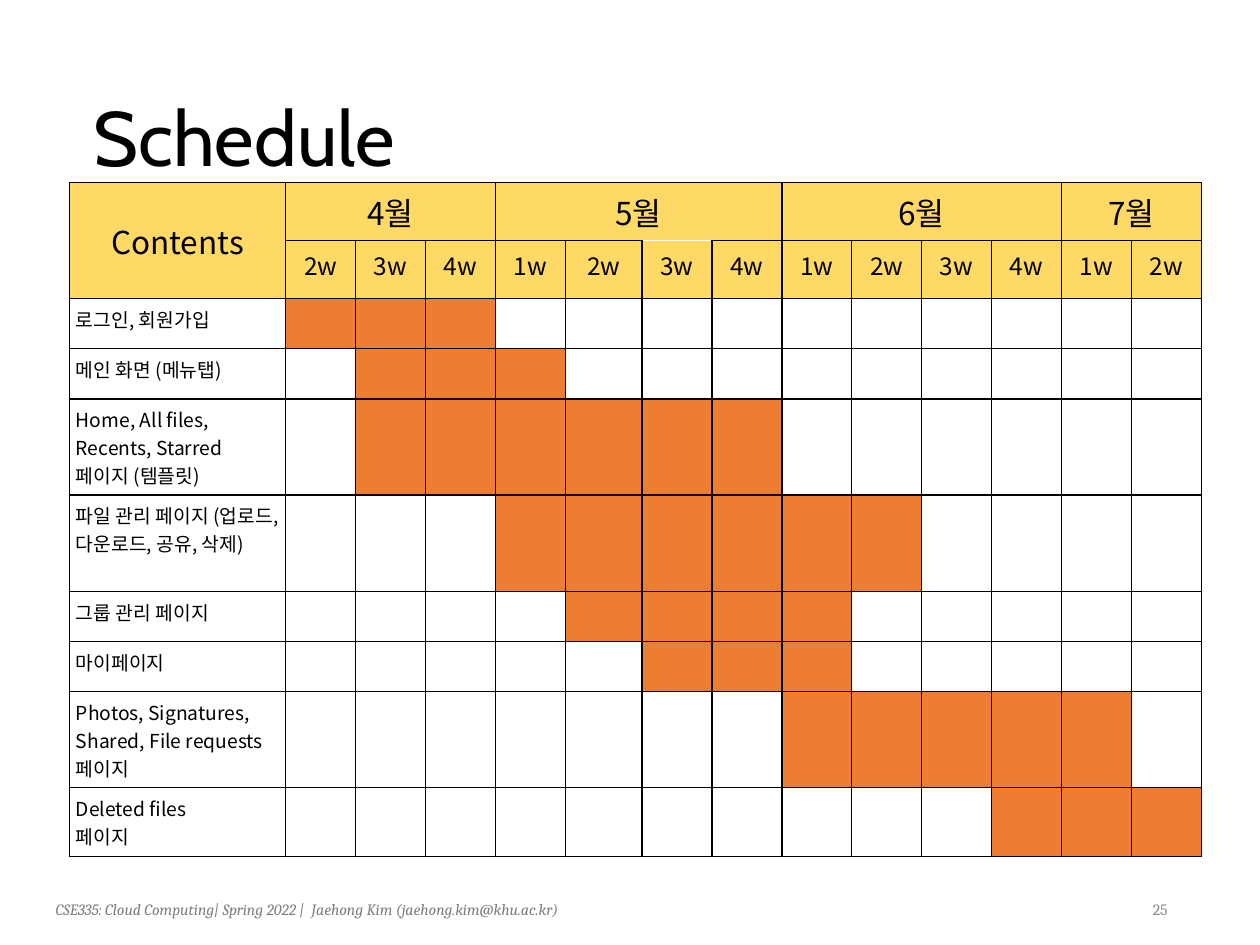
from dataclasses import dataclass

import pptx
import pptx.dml.color
import pptx.enum.text
import pptx.oxml
import pptx.oxml.ns
import pptx.util

Cm = pptx.util.Cm
Pt = pptx.util.Pt
Align = pptx.enum.text.PP_ALIGN
Anchor = pptx.enum.text.MSO_ANCHOR


@dataclass(frozen=True)
class Theme:
    title_font: str = "Cabin"
    body_font: str = "Noto Sans CJK KR"
    footer_font: str = "Cambria"
    ink: str = "000000"
    white: str = "FFFFFF"
    header: str = "FFD966"
    busy: str = "ED7D31"
    footer: str = "7E7E7E"
    number: str = "888888"
    title_size: int = 44
    month_size: int = 18
    week_size: int = 14
    task_size: int = 11
    footer_size: int = 9
    inset: float = 0.13


MONTHS = [("4월", 2, 4), ("5월", 1, 4), ("6월", 1, 4), ("7월", 1, 2)]
TASKS = [
    ("로그인, 회원가입", 1, 3),
    ("메인 화면 (메뉴탭)", 2, 4),
    ("Home, All files, Recents, Starred\n페이지 (템플릿)", 2, 7),
    ("파일 관리 페이지 (업로드, 다운로드, 공유, 삭제)", 4, 9),
    ("그룹 관리 페이지", 5, 8),
    ("마이페이지", 6, 8),
    ("Photos, Signatures, Shared, File requests\n페이지", 8, 12),
    ("Deleted files\n페이지", 11, 13),
]
COLUMNS = [4.36] + [1.41] * 4 + [1.54] + [1.41] * 8
ROWS = [1.17] * 2 + [1.01] * 2 + [1.94] * 2 + [1.01] * 2 + [1.94, 1.39]
WHITE_TOPPED_WEEK = (1, 6)


class SlideBuilder:
    def __init__(self, prs, theme):
        self.theme = theme
        self.s = prs.slides.add_slide(prs.slide_layouts[5])

    def set_text(self, tf, text, font, size, color, align=Align.LEFT, italic=False):
        tf.text = text
        for p in tf.paragraphs:
            p.alignment = align
            p.font.name = font
            p.font.size = Pt(size)
            p.font.italic = italic
            p.font.color.rgb = pptx.dml.color.RGBColor.from_string(color)

    def pad(self, box, inset):
        box.margin_left = box.margin_right = Cm(inset)
        box.margin_top = box.margin_bottom = Cm(inset)

    def title(self, text, left, top, width, height):
        t = self.theme
        sp = self.s.shapes.title
        sp.left, sp.top, sp.width, sp.height = map(Cm, (left, top, width, height))
        tf = sp.text_frame
        self.pad(tf, t.inset)
        tf.vertical_anchor = Anchor.MIDDLE
        self.set_text(tf, text, t.title_font, t.title_size, t.ink)
        tf.paragraphs[0].line_spacing = 0.9

    def note(self, text, left, top, width, height, color, inset=0, wrap=True, **style):
        t = self.theme
        sp = self.s.shapes.add_textbox(*map(Cm, (left, top, width, height)))
        tf = sp.text_frame
        tf.word_wrap = wrap
        tf.vertical_anchor = Anchor.MIDDLE
        self.pad(tf, inset)
        self.set_text(tf, text, t.footer_font, t.footer_size, color, **style)

    def borders(self, cell, top):
        tc_pr = cell._tc.get_or_add_tcPr()
        for side in "LRTB":
            color = top if side == "T" else self.theme.ink
            tc_pr.append(pptx.oxml.parse_xml(
                f'<a:ln{side} {pptx.oxml.ns.nsdecls("a")} w="12700"><a:solidFill>'
                f'<a:srgbClr val="{color}"/></a:solidFill></a:ln{side}>'))

    def cell(self, cell, text="", size=None, fill=None, align=Align.LEFT, top=None):
        t = self.theme
        self.pad(cell, t.inset)
        self.borders(cell, top or t.ink)
        if fill:
            cell.fill.solid()
            cell.fill.fore_color.rgb = pptx.dml.color.RGBColor.from_string(fill)
        else:
            cell.fill.background()
        self.set_text(cell.text_frame, text, t.body_font, size or t.task_size, t.ink, align)

    def schedule(self, left, top):
        t = self.theme
        frame = self.s.shapes.add_table(
            len(ROWS), len(COLUMNS), Cm(left), Cm(top), Cm(sum(COLUMNS)), Cm(sum(ROWS)))
        table = frame.table
        table.first_row = table.horz_banding = False
        for column, width in zip(table.columns, COLUMNS):
            column.width = Cm(width)
        for row, height in zip(table.rows, ROWS):
            row.height = Cm(height)

        header = {(0, 0): "Contents"}
        table.cell(0, 0).merge(table.cell(1, 0))
        start = 1
        for month, first, last in MONTHS:
            header[0, start] = month
            weeks = range(first, last + 1)
            for c, week in enumerate(weeks, start):
                header[1, c] = f"{week}w"
            end = start + len(weeks)
            table.cell(0, start).merge(table.cell(0, end - 1))
            start = end

        for r in range(2):
            for c in range(len(COLUMNS)):
                self.cell(table.cell(r, c), header.get((r, c), ""),
                          t.week_size if r else t.month_size, t.header, Align.CENTER,
                          t.white if (r, c) == WHITE_TOPPED_WEEK else t.ink)
        table.cell(0, 0).vertical_anchor = Anchor.MIDDLE

        for r, (task, first, last) in enumerate(TASKS, 2):
            self.cell(table.cell(r, 0), task)
            for c in range(1, len(COLUMNS)):
                self.cell(table.cell(r, c), fill=t.busy if first <= c <= last else None)


def main():
    prs = pptx.Presentation()
    prs.slide_width, prs.slide_height = Cm(25.4), Cm(19.05)
    theme = Theme()
    slide = SlideBuilder(prs, theme)
    slide.note("CSE335: Cloud Computing| Spring 2022 |  Jaehong Kim (jaehong.kim@khu.ac.kr)",
               1.12, 18.14, 11.73, 0.38, theme.footer, italic=True)
    slide.title("Schedule", 1.75, 1.02, 21.9, 3.68)
    slide.note("25", 23.06, 18.03, 0.61, 0.61, theme.number, theme.inset, False,
               align=Align.RIGHT)
    slide.schedule(1.4, 3.68)
    prs.save("out.pptx")


if __name__ == "__main__":
    main()
